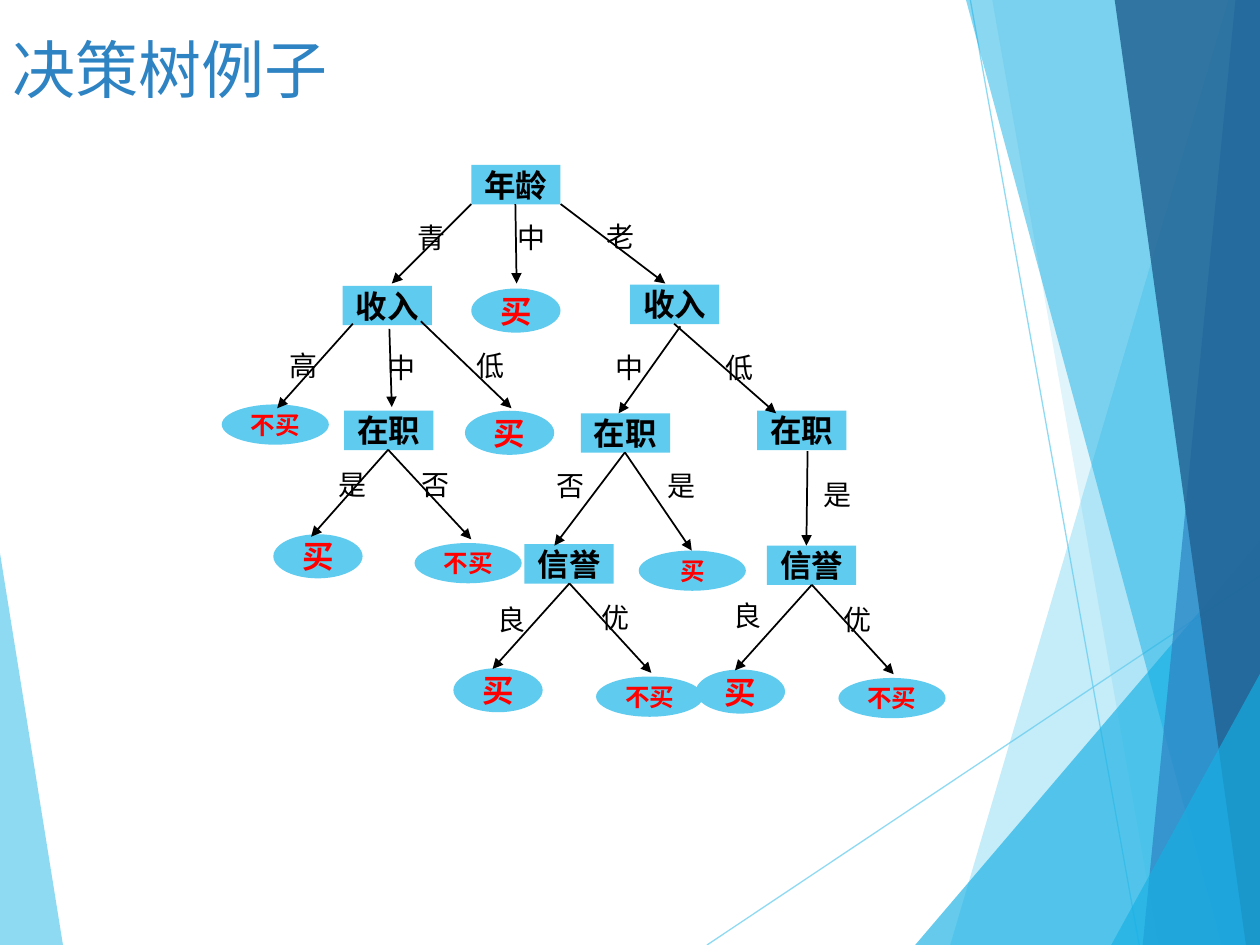
from lxml import etree
from pptx import Presentation
from pptx.dml.color import RGBColor
from pptx.enum.shapes import MSO_CONNECTOR, MSO_SHAPE
from pptx.enum.text import MSO_ANCHOR, PP_ALIGN
from pptx.oxml.ns import qn
from pptx.util import Pt

LINE = MSO_CONNECTOR.STRAIGHT
RECT, OVAL = MSO_SHAPE.RECTANGLE, MSO_SHAPE.OVAL
TOP, MIDDLE = MSO_ANCHOR.TOP, MSO_ANCHOR.MIDDLE
LEFT, CENTER = PP_ALIGN.LEFT, PP_ALIGN.CENTER
SKY, CYAN, BLUE, NAVY = "5FCBEF", "17B0E4", "2E83C3", "226292"
BLACK, RED = "000000", "FF0000"

# Facets at the right: upper and lower end of the left edge, colour, opacity
FACETS = [
    ((702, 0), (543, 540), SKY, 36),
    ((567, 0), (662, 540), SKY, 20),
    ((720, 309), (523, 540), CYAN, 66),
    ((552, 0), (698.5, 540), CYAN, 50),
    ((706.5, 0), (653, 540), BLUE, 70),
    ((637, 0), (711.5, 540), NAVY, 82),
    ((720, 385), (635, 540), CYAN, 66),
]
RAYS = [((404, 540), (720, 329)), ((554.5, 0), (651, 540))]

# Tree parts, relative to the tree's box
TESTS = [
    ("年龄", 149.3, 4.3), ("收入", 75.8, 73.4), ("收入", 240, 72.7),
    ("在职", 76.6, 144.7), ("在职", 211.9, 146.2), ("在职", 312.7, 144.7),
]
BIG, SMALL = (51, 25.2, 18), (61.2, 23, 14)  # width, height, text size
LEAVES = [
    ("买", 149.3, 74.9, BIG), ("不买", 6.7, 141.1, SMALL),
    ("买", 145.7, 144.7, BIG), ("买", 36.2, 215.3, BIG),
    ("不买", 116.9, 220.3, SMALL), ("买", 245, 224.6, SMALL),
]
# Start, end, label, label corner
EDGES = [
    ((149.3, 26.6), (103.9, 72), "青", (103.9, 32.4)),
    ((174.5, 26.6), (175.2, 72), "中", (160.8, 32.4)),
    ((200.4, 26.6), (260.2, 72), "老", (211.9, 31.7)),
    ((81.6, 95), (38.4, 143.3), "高", (30.5, 105.8)),
    ((102.5, 97.9), (103.9, 142.6), "中", (86.6, 106.6)),
    ((120.5, 93.6), (172.3, 143.3), "低", (137.8, 105.8)),
    ((268.8, 96.5), (233.5, 146.2), "中", (217, 106.6)),
    ((265.2, 95), (323.5, 146.2), "低", (279.6, 106.6)),
    ((101.8, 167), (57.8, 216.7), "是", (58.6, 173.5)),
    ((101.8, 167), (149.3, 218.2), "否", (106.1, 173.5)),
    ((237.1, 168.5), (196.8, 221.8), "否", (183.1, 174.2)),
    ((237.1, 168.5), (275.3, 224.6), "是", (246.5, 174.2)),
    ((341.5, 167.8), (340.8, 221.8), "是", (335.8, 179.3)),
]


def paint(form, color):
    form.solid()
    form.fore_color.rgb = RGBColor.from_string(color)


def fade(shape, alpha):
    for clr in shape.element.spPr.iter(qn("a:srgbClr")):
        etree.SubElement(clr, qn("a:alpha"), val=str(alpha * 1000))


def write(frame, text, size, face, color, bold=False, align=CENTER):
    frame.text = text
    para = frame.paragraphs[0]
    para.alignment = align
    font = para.font
    font.size, font.name, font.bold = Pt(size), face, bold
    font.color.rgb = RGBColor.from_string(color)


def draw_line(slide, start, end, color, width):
    line = slide.shapes.add_connector(LINE, *map(Pt, start + end))
    line.line.width = Pt(width)
    paint(line.line.fill, color)
    etree.SubElement(line.element.spPr, qn("a:effectLst"))
    return line


def facet(slide, points, color, alpha):
    pen = slide.shapes.build_freeform(*points[0], scale=Pt(1))
    pen.add_line_segments(points[1:])
    shape = pen.convert_to_shape()
    shape.shadow.inherit = False
    shape.line.fill.background()
    paint(shape.fill, color)
    fade(shape, alpha)


def node(slide, kind, text, x, y, wide, high, size, color):
    shape = slide.shapes.add_shape(kind, Pt(x), Pt(y), Pt(wide), Pt(high))
    shape.shadow.inherit = False
    shape.line.fill.background()
    paint(shape.fill, SKY)
    frame = shape.text_frame
    frame.margin_left = frame.margin_right = 0
    frame.margin_top = frame.margin_bottom = 0
    frame.vertical_anchor = MIDDLE
    frame.word_wrap = False
    write(frame, text, size, "Cabin", color, True)


def edge(slide, start, end):
    line = draw_line(slide, start, end, BLACK, 1)
    etree.SubElement(line.line._get_or_add_ln(), qn("a:tailEnd"), type="triangle")


def label(slide, text, x, y):
    box = slide.shapes.add_textbox(Pt(x), Pt(y), Pt(45.4), Pt(26.6))
    box.text_frame.word_wrap = True
    write(box.text_frame, text, 16, "Times New Roman", BLACK)


def backdrop(slide, x, y, wide, high):
    def at(point):
        return x + point[0], y + point[1]

    # Left wedge
    facet(slide, [at((0, 316)), at((35.5, high)), at((0, high))], SKY, 70)
    # Thin rays
    for start, end in RAYS:
        fade(draw_line(slide, at(start), at(end), SKY, 0.75), 70)
    # Right facets, closed along the box's edge
    for upper, lower, color, alpha in FACETS:
        points = [upper, lower, (wide, high)]
        if upper[1] == 0:
            points.append((wide, 0))
        facet(slide, [at(point) for point in points], color, alpha)


def heading(slide, x, y, wide, high):
    title = slide.shapes.title
    title.left, title.top, title.width, title.height = map(Pt, (x, y, wide, high))
    title.text_frame.vertical_anchor = TOP
    write(title.text_frame, "决策树例子", 36, "Times New Roman", BLUE, align=LEFT)


def tree(slide, x, y):
    tests, leaves, edges = list(TESTS), list(LEAVES), list(EDGES)
    # The credit test ends two branches
    for dx, dy, spot in ((0, 0, (149.3, 250.6)), (138.5, 0.8, (284.6, 248.4))):
        tests.append(("信誉", 179.7 + dx, 221 + dy))
        leaves += [("不买", 220.6 + dx, 296.6 + dy, SMALL),
                   ("买", 139.1 + dx, 291.8 + dy, BIG)]
        fork = (205.4 + dx, 243.4 + dy)
        edges += [(fork, (161.5 + dx, 292.3 + dy), "良", spot),
                  (fork, (252.2 + dx, 294.5 + dy), "优", (209 + dx, 249.8 + dy))]
    # Nodes
    for text, left, top in tests:
        node(slide, RECT, text, x + left, y + top, 51, 22.5, 18, BLACK)
    for text, left, top, (wide, high, size) in leaves:
        node(slide, OVAL, text, x + left, y + top, wide, high, size, RED)
    # Arrows and their labels
    for start, end, text, spot in edges:
        edge(slide, (x + start[0], y + start[1]), (x + end[0], y + end[1]))
        label(slide, text, x + spot[0], y + spot[1])


def main():
    deck = Presentation()
    deck.slide_width, deck.slide_height = Pt(720), Pt(540)
    slide = deck.slides.add_slide(deck.slide_layouts[5])
    backdrop(slide, 0, 0, 720, 540)
    heading(slide, 0, 13.7, 619, 38)
    tree(slide, 120, 90)
    deck.save("out.pptx")


if __name__ == "__main__":
    main()
